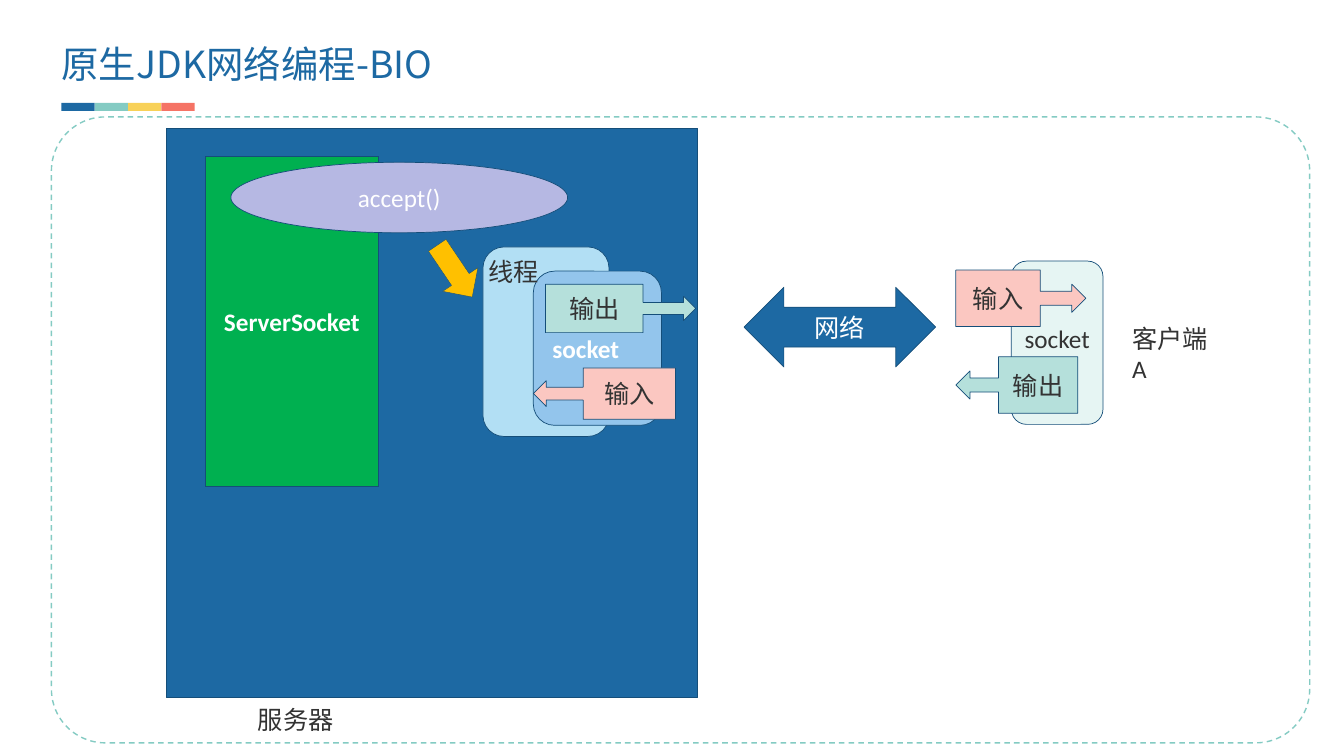
from lxml import etree
from pptx import Presentation
from pptx.dml.color import RGBColor
from pptx.enum.dml import MSO_LINE
from pptx.enum.shapes import MSO_SHAPE
from pptx.enum.text import MSO_ANCHOR, PP_ALIGN
from pptx.oxml.ns import qn
from pptx.util import Pt

PX = 9144
RECT, ROUND, OVAL = MSO_SHAPE.RECTANGLE, MSO_SHAPE.ROUNDED_RECTANGLE, MSO_SHAPE.OVAL
ARROW, BOTH = MSO_SHAPE.RIGHT_ARROW, MSO_SHAPE.LEFT_RIGHT_ARROW
TO_RIGHT, TO_LEFT = MSO_SHAPE.RIGHT_ARROW_CALLOUT, MSO_SHAPE.LEFT_ARROW_CALLOUT
DASH = MSO_LINE.DASH
MIDDLE, TOP = MSO_ANCHOR.MIDDLE, MSO_ANCHOR.TOP
LEFT, CENTER = PP_ALIGN.LEFT, PP_ALIGN.CENTER
CJK = "Noto Sans CJK SC"
HUES = {
    "blue": "1D69A3", "teal": "84CBC3", "yellow": "F8D158", "coral": "F57365",
    "edge": "154E79", "white": "FFFFFF", "ink": "333333", "green": "00B050",
    "lilac": "B6B8E3", "amber": "FFC000", "sky": "B2DFF4", "azure": "93C5EC",
    "mint": "B5E0DB", "pink": "FBC7C1", "pale": "E6F5F3",
}


def hue(name):
    """Return the named colour."""
    return RGBColor.from_string(HUES[name])


def write(item, text, size=18, color="ink", bold=False, font="Calibri",
          align=CENTER, anchor=MIDDLE, wrap=True, inset=None):
    """Put formatted text into a shape or text box."""
    frame = item.text_frame
    frame.word_wrap, frame.vertical_anchor = wrap, anchor
    if inset is not None:
        frame.margin_left = frame.margin_right = inset
        frame.margin_top = frame.margin_bottom = inset
    para = frame.paragraphs[0]
    para.alignment = align
    run = para.add_run()
    run.text = text
    run.font.size, run.font.bold, run.font.name = Pt(size), bold, font
    run.font.color.rgb = hue(color)
    face = etree.SubElement(run._r.get_or_add_rPr(), qn("a:ea"))
    face.set("typeface", CJK)


def block(shapes, kind, box, fill=None, line="edge", width=0.5, text=None, **style):
    """Add a preset shape, with text if given."""
    item = shapes.add_shape(kind, *(n * PX for n in box))
    item.shadow.inherit = False
    if fill:
        item.fill.solid()
        item.fill.fore_color.rgb = hue(fill)
    else:
        item.fill.background()
    if line:
        item.line.color.rgb = hue(line)
        item.line.width = Pt(width)
    else:
        item.line.fill.background()
    if text:
        write(item, text, **style)
    return item


def label(shapes, box, text, **style):
    """Add a text box that starts at its top edge."""
    item = shapes.add_textbox(*(n * PX for n in box))
    write(item, text, anchor=TOP, **style)


def header(shapes, x, y):
    """Draw the title and its strip of four colours."""
    label(shapes, (x, y, 534, 45), "原生JDK网络编程-BIO", size=26.7, color="blue",
          font=CJK, align=LEFT, inset=0)
    strip = shapes.add_group_shape().shapes
    for i, name in enumerate(("blue", "teal", "yellow", "coral")):
        block(strip, RECT, (x + 33 * i, y + 61, 33, 8), name, line=None)


def border(shapes, x, y, w, h):
    """Draw the dashed frame around the diagram."""
    item = block(shapes, ROUND, (x, y, w, h), line="teal", width=1)
    item.adjustments[0] = 0.086
    item.line.dash_style = DASH


def server(shapes, x, y, w, h):
    """Draw the server with its listener and its thread."""
    block(shapes, RECT, (x, y, w, h), "blue")
    thread(shapes, x + 314, y + 118)
    block(shapes, RECT, (x + 39, y + 28, 171, 328), "green",
          text="ServerSocket", color="white", bold=True)
    block(shapes, OVAL, (x + 64, y + 34, 334, 70), "lilac", text="accept()", color="white")
    arrow = block(shapes, ARROW, (x + 255, y + 121, 62, 42), "amber", width=0.25)
    arrow.rotation = 56
    label(shapes, (x + 81, y + h + 2, 96, 40), "服务器", align=LEFT, wrap=False)


def thread(shapes, x, y):
    """Draw the thread that holds the server side socket."""
    block(shapes, ROUND, (x, y, 125, 188), "sky")
    block(shapes, ROUND, (x + 50, y + 24, 127, 153), "azure")
    block(shapes, TO_RIGHT, (x + 62, y + 37, 149, 48), "mint", text="输出")
    block(shapes, TO_LEFT, (x + 50, y + 120, 141, 51), "pink", text="输入")
    label(shapes, (x + 55, y + 81, 94, 40), "socket", color="white", bold=True, wrap=False)
    label(shapes, (x - 5, y + 4, 71, 40), "线程", wrap=False)


def client(shapes, x, y, w, h):
    """Draw the client socket with its two streams."""
    block(shapes, ROUND, (x, y, w, h), "pale")
    block(shapes, TO_RIGHT, (x - 55, y + 9, 129, 56), "pink", text="输入")
    block(shapes, TO_LEFT, (x - 55, y + 95, 121, 56), "mint", text="输出")
    label(shapes, (x + 1, y + 57, 89, 40), "socket", wrap=False)
    label(shapes, (x + 110, y + 57, 105, 40), "客户端A", align=LEFT)


def main():
    """Build the slide and save it."""
    deck = Presentation()
    deck.slide_width, deck.slide_height = 1333 * PX, 750 * PX
    shapes = deck.slides.add_slide(deck.slide_layouts[6]).shapes
    header(shapes, 61, 41)
    border(shapes, 51, 116, 1248, 621)
    server(shapes, 165, 127, 527, 565)
    block(shapes, BOTH, (738, 285, 190, 79), "blue", text="网络", color="white")
    client(shapes, 1003, 259, 91, 162)
    deck.save("out.pptx")


if __name__ == "__main__":
    main()
